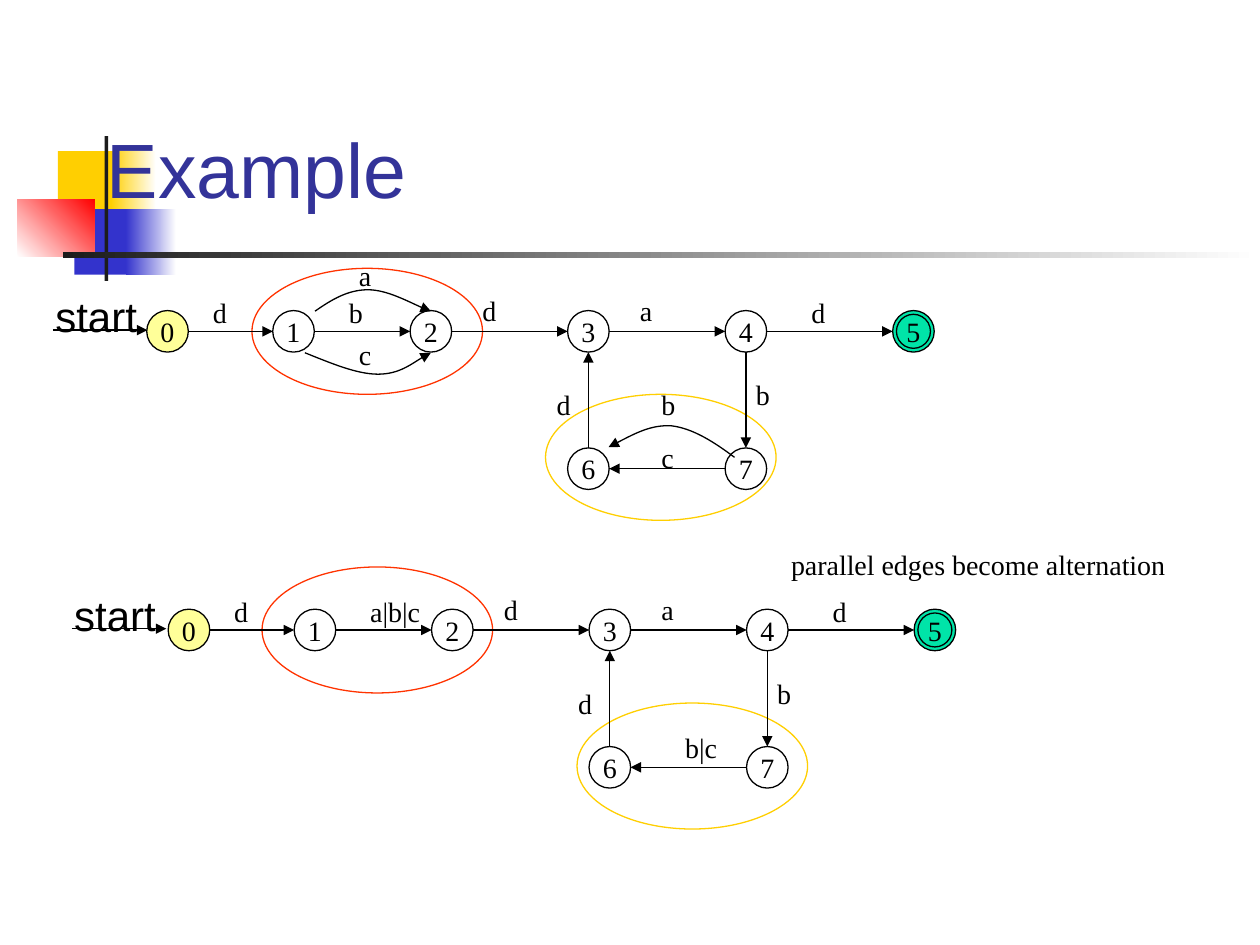
from lxml import etree
from pptx import Presentation
from pptx.dml.color import RGBColor
from pptx.enum import shapes, text
from pptx.oxml import ns
from pptx.util import Inches, Pt

BLACK, WHITE = RGBColor(0, 0, 0), RGBColor(255, 255, 255)
DARK = RGBColor(0x1C, 0x1C, 0x1C)
GOLD = RGBColor(0xFF, 0xCF, 0x01)
BLUE = RGBColor(0x33, 0x33, 0xCC)
RED = RGBColor(0xFF, 0, 0)
ORANGE = RGBColor(0xFF, 0x33, 0)
NAVY = RGBColor(0x33, 0x33, 0x99)
YELLOW = RGBColor(0xFF, 0xFF, 0x99)
GREEN = RGBColor(0, 0xE4, 0xA8)
SERIF, SANS = "Times New Roman", "Arial"

# Decoration: left, top, width, height, colours (two make a gradient), angle
DECORATION = [
    (0.46, 1.2, 0.48, 0.52, [GOLD], 0),
    (0.88, 1.2, 0.36, 0.52, [GOLD, WHITE], 0),
    (0.59, 1.66, 0.46, 0.52, [BLUE], 0),
    (1.0, 1.66, 0.4, 0.52, [BLUE, WHITE], 0),
    (0.14, 1.58, 0.61, 0.46, [WHITE, RED], 45),
    (0.83, 1.08, 0.03, 1.15, [DARK], 0),
    (0.5, 2.0, 9.5, 0.05, [DARK, WHITE], 0),
]

# State centres, relative to the graph's shift
STATE_SIZE, INNER_SIZE = 0.33, 0.27
RING_SIZE = (1.83, 1)
TOP_ROW, LOW_ROW = 2.63, 3.72
STATES = {
    "0": (1.33, TOP_ROW), "1": (2.33, TOP_ROW), "2": (3.42, TOP_ROW),
    "3": (4.67, TOP_ROW), "4": (5.92, TOP_ROW), "5": (7.25, TOP_ROW),
    "6": (4.67, LOW_ROW), "7": (5.92, LOW_ROW),
}
STATE_FILLS = {"0": YELLOW, "5": GREEN}
EDGES = ["01", "12", "23", "34", "45", "47", "76", "63"]
EDGE_LABELS = [
    ("d", 1.59, 2.3), ("d", 3.73, 2.28), ("a", 4.98, 2.28),
    ("d", 6.34, 2.3), ("d", 4.32, 3.03), ("b", 5.9, 2.95),
]

# Extra labels: words, left, top, width.
# Curves, in hundredths of an inch: start, then Bezier points.
GRAPHS = [
    {
        "shift": (0, 0),
        "start": (0.42, 2.62),
        "rings": [(2, 2.13, ORANGE), (4.33, 3.13, GOLD)],
        "labels": [("a", 2.75, 2, 0.3), ("b", 2.67, 2.3, 0.31),
                   ("c", 2.75, 2.63, 0.3), ("b", 5.15, 3.03, 0.31),
                   ("c", 5.15, 3.45, 0.3)],
        "curves": [
            [(250, 247), (263, 238), (276, 230), (292, 230),
             (307, 230), (333, 244), (342, 247)],
            [(242, 280), (262, 288), (283, 297), (300, 297),
             (317, 297), (335, 283), (342, 280)],
            [(583, 363), (567, 351), (550, 340), (533, 338),
             (517, 337), (500, 346), (483, 355)],
        ],
    },
    {
        "shift": (0.17, 2.37),
        "start": (0.57, 4.99),
        "rings": [(2.08, 4.5, ORANGE), (4.58, 5.58, GOLD)],
        "labels": [("a|b|c", 2.84, 4.67, 0.6), ("b|c", 5.34, 5.75, 0.46),
                   ("parallel edges become alternation", 6.18, 4.3, 3.17)],
        "curves": [],
    },
]

deck = Presentation()
deck.slide_width, deck.slide_height = Inches(10), Inches(7.5)
page = deck.slides.add_slide(deck.slide_layouts[6])


def write(frame, words, size, font, color):
    span = frame.paragraphs[0].add_run()
    span.text = words
    span.font.size, span.font.name = Pt(size), font
    span.font.color.rgb = color


def add_text(words, left, top, width, height=0.37, size=16, font=SERIF,
             color=BLACK, wrap=False):
    box = page.shapes.add_textbox(*map(Inches, (left, top, width, height)))
    box.text_frame.word_wrap = wrap
    if not wrap:
        box.text_frame.auto_size = text.MSO_AUTO_SIZE.SHAPE_TO_FIT_TEXT
    write(box.text_frame, words, size, font, color)
    return box


def add_block(left, top, width, height, colors, angle):
    block = page.shapes.add_shape(shapes.MSO_SHAPE.RECTANGLE,
                                  *map(Inches, (left, top, width, height)))
    block.shadow.inherit = False
    block.line.fill.background()
    if len(colors) == 1:
        block.fill.solid()
        block.fill.fore_color.rgb = colors[0]
    else:
        block.fill.gradient()
        block.fill.gradient_angle = angle
        for stop, color in zip(block.fill.gradient_stops, colors):
            stop.color.rgb = color


def add_oval(left, top, width, height, line=BLACK, fill=None):
    oval = page.shapes.add_shape(shapes.MSO_SHAPE.OVAL,
                                 *map(Inches, (left, top, width, height)))
    oval.shadow.inherit = False
    oval.line.color.rgb, oval.line.width = line, Pt(0.75)
    if fill is None:
        oval.fill.background()
    else:
        oval.fill.solid()
        oval.fill.fore_color.rgb = fill
    return oval


def add_circle(x, y, size, fill=None):
    return add_oval(x - size / 2, y - size / 2, size, size, fill=fill)


def finish_arrow(shape):
    """Thin black line with a triangle at its end."""
    shape.line.color.rgb, shape.line.width = BLACK, Pt(0.75)
    line = shape._element.spPr.find(ns.qn("a:ln"))
    etree.SubElement(line, ns.qn("a:tailEnd"), type="triangle")


def add_arrow(*ends):
    arrow = page.shapes.add_connector(shapes.MSO_CONNECTOR.STRAIGHT,
                                      *map(Inches, ends))
    finish_arrow(arrow)
    etree.SubElement(arrow._element.spPr, ns.qn("a:effectLst"))


def add_curve(points):
    """Freeform whose vertices, three by three, become Bezier segments."""
    builder = page.shapes.build_freeform(*points[0], scale=Inches(0.01))
    builder.add_line_segments(points[1:], close=False)
    curve = builder.convert_to_shape()
    curve.shadow.inherit = False
    curve.fill.background()
    finish_arrow(curve)
    outline = next(curve._element.iter(ns.qn("a:path")))
    segments = outline.findall(ns.qn("a:lnTo"))
    for first in range(0, len(segments), 3):
        bezier = etree.SubElement(outline, ns.qn("a:cubicBezTo"))
        for segment in segments[first:first + 3]:
            bezier.append(segment[0])
            outline.remove(segment)


def add_edge(source, target):
    """Arrow between the facing sides of two states in one row or column."""
    (x1, y1), (x2, y2) = source, target
    reach = STATE_SIZE / 2
    dx = reach * ((x2 > x1) - (x2 < x1))
    dy = reach * ((y2 > y1) - (y2 < y1))
    add_arrow(x1 + dx, y1 + dy, x2 - dx, y2 - dy)


def add_graph(graph):
    right, down = graph["shift"]
    centres = {name: (x + right, y + down) for name, (x, y) in STATES.items()}
    for left, top, color in graph["rings"]:
        add_oval(left, top, *RING_SIZE, line=color)
    for name, centre in centres.items():
        frame = add_circle(*centre, STATE_SIZE, STATE_FILLS.get(name)).text_frame
        frame.word_wrap = False
        frame.vertical_anchor = text.MSO_ANCHOR.MIDDLE
        frame.paragraphs[0].alignment = text.PP_ALIGN.CENTER
        write(frame, name, 16, SERIF, BLACK)
    add_circle(*centres["5"], INNER_SIZE)
    for source, target in EDGES:
        add_edge(centres[source], centres[target])
    for points in graph["curves"]:
        add_curve(points)
    for words, left, top in EDGE_LABELS:
        add_text(words, left + right, top + down, 0.31)
    for label in graph["labels"]:
        add_text(*label)
    x, y = graph["start"]
    add_arrow(x, y, x + 0.75, y)
    add_text("start", x - 0.08, y - 0.36, 0.85, 0.5, size=24, font=SANS)


for block in DECORATION:
    add_block(*block)
title = add_text("Example", 0.75, 0.5, 8.5, 1.25, 44, SANS, NAVY, wrap=True)
title.text_frame.vertical_anchor = text.MSO_ANCHOR.BOTTOM
for graph in GRAPHS:
    add_graph(graph)
deck.save("out.pptx")
